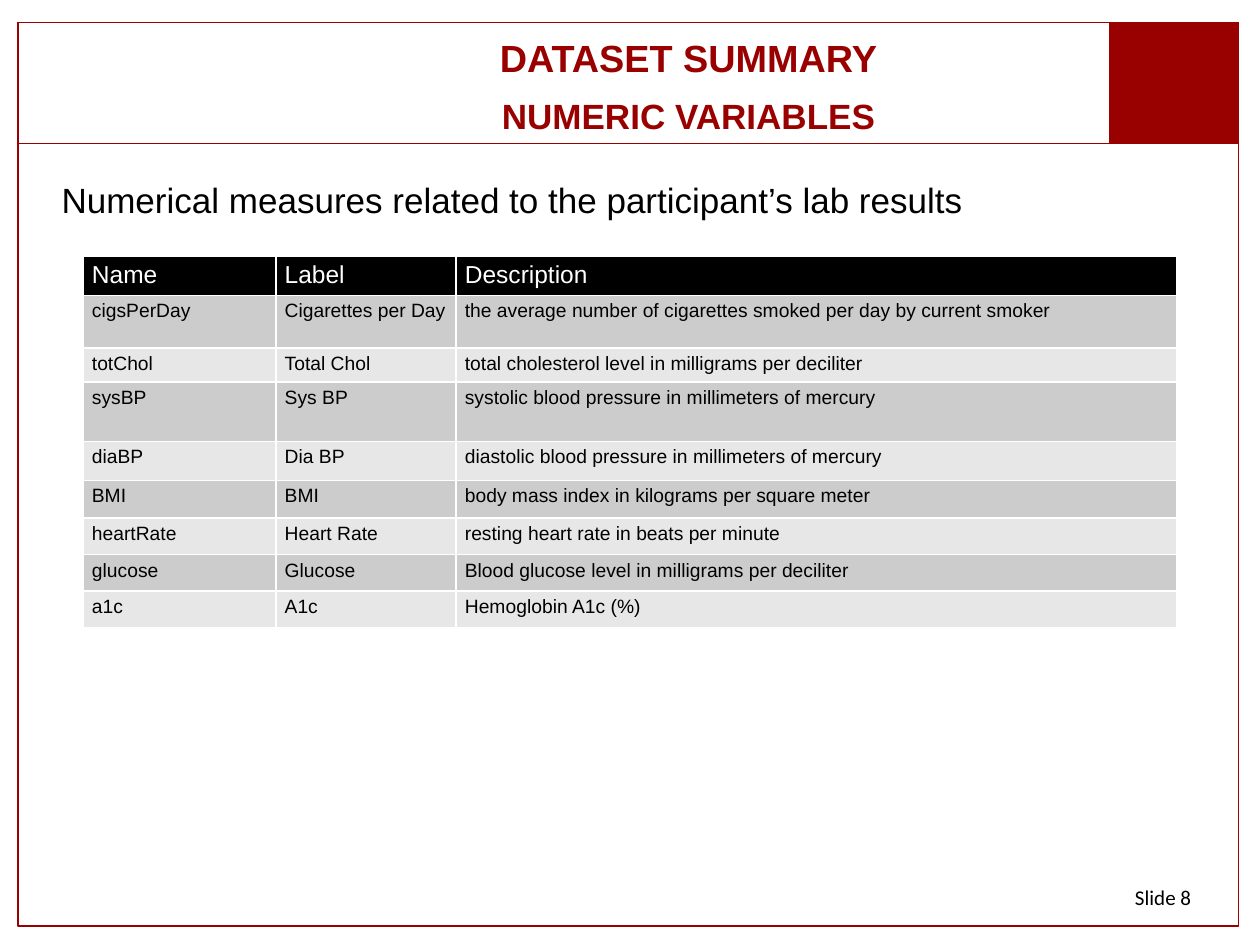
from itertools import accumulate

from lxml import etree
from pptx import Presentation, util as u
from pptx.dml.color import RGBColor
from pptx.enum import shapes, text
from pptx.oxml import ns

# Content
HEADER = ["Name", "Label", "Description"]
VARIABLES = [
    ("cigsPerDay", "Cigarettes per Day",
     "the average number of cigarettes smoked per day by current smoker"),
    ("totChol", "Total Chol", "total cholesterol level in milligrams per deciliter"),
    ("sysBP", "Sys BP", "systolic blood pressure in millimeters of mercury"),
    ("diaBP", "Dia BP", "diastolic blood pressure in millimeters of mercury"),
    ("BMI", "BMI", "body mass index in kilograms per square meter"),
    ("heartRate", "Heart Rate", "resting heart rate in beats per minute"),
    ("glucose", "Glucose", "Blood glucose level in milligrams per deciliter"),
    ("a1c", "A1c", "Hemoglobin A1c (%)"),
]
COLORS = {"red": "990000", "black": "000000", "white": "FFFFFF",
          "dark_band": "CCCCCC", "light_band": "E7E7E7"}
# text, box, size, colour, bold, alignment, font
LEFT, CENTER = text.PP_ALIGN.LEFT, text.PP_ALIGN.CENTER
TEXTS = [
    ("Slide 8", (8.91, 6.97, 1, 0.3), 12, "black", False, LEFT, "Calibri"),
    ("DATASET SUMMARY", (2.23, 0.22, 6.47, 0.47), 21.6, "red", True, CENTER, "Arial"),
    ("NUMERIC VARIABLES", (2.23, 0.71, 6.47, 0.41), 20, "red", True, CENTER, "Arial"),
    ("Numerical measures related to the participant’s lab results",
     (0.39, 1.35, 9, 0.47), 20, "black", False, LEFT, "Arial"),
]

# Layout in inches
FRAME_X, FRAME_Y, FRAME_W, FRAME_H = 0.14, 0.18, 9.69, 7.17
BAND_H, CORNER_W = 0.96, 1.02
TABLE_X, TABLE_Y = 0.66, 2.03
COL_W = [1.53, 1.43, 5.72]
ROW_H = [0.29, 0.42, 0.27, 0.47, 0.31, 0.3, 0.29, 0.29, 0.29]


def rgb(name):
    return RGBColor.from_string(COLORS[name])


def inches(box):
    return [u.Inches(v) for v in box]


def style_text(tf, size, color, bold=False, align=LEFT, font="Arial"):
    for p in tf.paragraphs:
        p.alignment = align
        for r in p.runs:
            r.font.name, r.font.size, r.font.bold = font, u.Pt(size), bold
            r.font.color.rgb = rgb(color)


def add_frame(s, box, fill=None):
    sp = s.shapes.add_shape(shapes.MSO_SHAPE.RECTANGLE, *inches(box))
    sp.shadow.inherit = False
    if fill:
        sp.fill.solid()
        sp.fill.fore_color.rgb = rgb(fill)
    else:
        sp.fill.background()
    sp.line.color.rgb = rgb("red")
    sp.line.width = u.Pt(1)


def add_text(s, words, box, *style):
    tf = s.shapes.add_textbox(*inches(box)).text_frame
    tf.word_wrap = True
    tf.vertical_anchor = text.MSO_ANCHOR.MIDDLE
    tf.text = words
    style_text(tf, *style)


def add_borders(cell, widths):
    tc_pr = cell._tc.get_or_add_tcPr()
    for side, width in zip("LRTB", widths):
        ln = etree.SubElement(tc_pr, ns.qn(f"a:ln{side}"), w=str(u.Pt(width)))
        fill = etree.SubElement(ln, ns.qn("a:solidFill"))
        etree.SubElement(fill, ns.qn("a:srgbClr"), val=COLORS["white"])


def add_variable_table(s):
    rows = [HEADER, *VARIABLES]
    size = list(accumulate(COL_W))[-1], sum(ROW_H)
    table = s.shapes.add_table(len(rows), len(HEADER),
                               *inches((TABLE_X, TABLE_Y, *size))).table
    for col, width in zip(table.columns, COL_W):
        col.width = u.Inches(width)
    for i, (row, height, words) in enumerate(zip(table.rows, ROW_H, rows)):
        row.height = u.Inches(height)
        band = "black" if i == 0 else "dark_band" if i % 2 else "light_band"
        for cell, word in zip(row.cells, words):
            cell.text = word
            cell.margin_left = cell.margin_right = u.Inches(0.07)
            cell.margin_top = cell.margin_bottom = u.Inches(0.04)
            add_borders(cell, (1, 1, 1, 1))
            cell.fill.solid()
            cell.fill.fore_color.rgb = rgb(band)
            style_text(cell.text_frame, 11 if i else 14, "black" if i else "white")


def main():
    prs = Presentation()
    prs.slide_width, prs.slide_height = u.Inches(10), u.Inches(7.5)
    s = prs.slides.add_slide(prs.slide_layouts[6])

    # Page frame, title band and corner block
    add_frame(s, (FRAME_X, FRAME_Y, FRAME_W, FRAME_H))
    add_frame(s, (FRAME_X, FRAME_Y, FRAME_W, BAND_H))
    add_frame(s, (FRAME_X + FRAME_W - CORNER_W, FRAME_Y, CORNER_W, BAND_H), "red")

    # Headings, introduction and slide number
    for item in TEXTS:
        add_text(s, *item)

    add_variable_table(s)
    prs.save("out.pptx")


if __name__ == "__main__":
    main()
